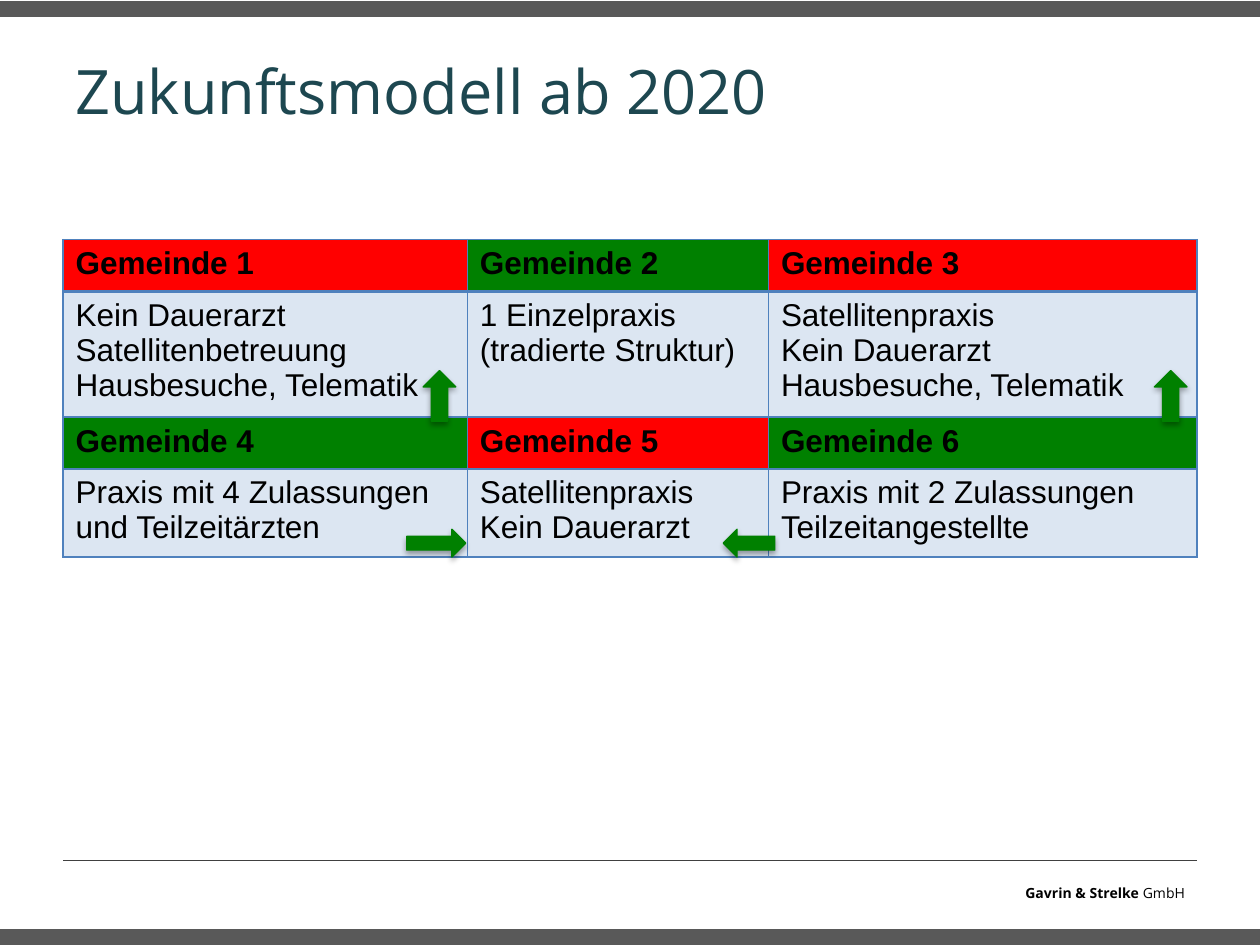
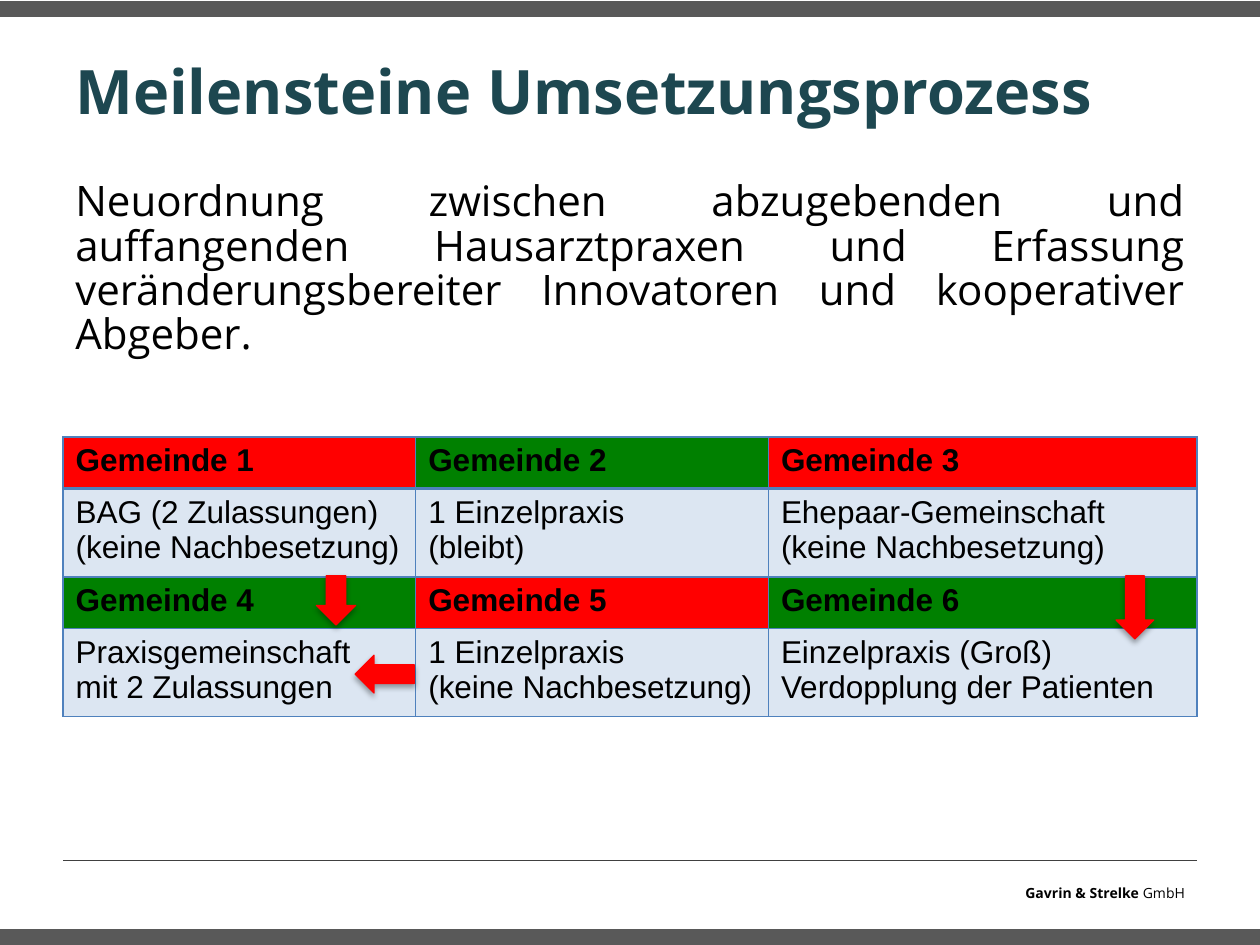
"""Builds two slides on reorganising general practices across six municipalities."""
from dataclasses import dataclass

from lxml.etree import SubElement
from pptx import Presentation
from pptx.dml.color import RGBColor as RGB
from pptx.enum.shapes import MSO_CONNECTOR as LINE, MSO_SHAPE as SHAPE
from pptx.enum.text import MSO_ANCHOR as ANCHOR, PP_ALIGN as ALIGN
from pptx.oxml import parse_xml
from pptx.oxml.ns import nsdecls, qn
from pptx.util import Cm, Pt


@dataclass(frozen=True)
class Theme:
    """Colours, fonts and type sizes of the deck."""
    band: RGB = RGB.from_string("595959")
    rule: RGB = RGB.from_string("404040")
    title: RGB = RGB.from_string("1D4750")
    text: RGB = RGB.from_string("000000")
    red: RGB = RGB.from_string("FF0000")
    green: RGB = RGB.from_string("008000")
    cell: RGB = RGB.from_string("DCE6F2")
    border: RGB = RGB.from_string("4F81BD")
    font: str = "Open Sans"
    table_font: str = "Arial"
    title_size: int = 35
    body_size: int = 24
    table_size: int = 18
    footer_size: int = 8


T = Theme()
WIDTH, HEIGHT = 25.4, 19.05
MARGIN = 1.27
CONTENT = WIDTH - 2 * MARGIN
HEADER_ROW = 1.04


def style(font, size, color=T.text, bold=False, name=T.font):
    """Set the look of a paragraph or run font."""
    font.name, font.size, font.bold = name, Pt(size), bold
    font.color.rgb = color


def add_shape(slide, kind, box, color):
    """Add a flat preset shape in one colour."""
    sp = slide.shapes.add_shape(kind, *map(Cm, box))
    sp.shadow.inherit = False
    sp.fill.solid()
    sp.fill.fore_color.rgb = color
    sp.line.color.rgb = color
    sp.line.width = Pt(0.75)
    return sp


def add_arrow(slide, kind, box, color):
    """Add a block arrow with a soft shadow below it."""
    sp = add_shape(slide, kind, box, color)
    effects = sp._element.spPr.find(qn("a:effectLst"))
    shadow = SubElement(effects, qn("a:outerShdw"), blurRad="40000",
                        dist="23000", dir="5400000", rotWithShape="0")
    black = SubElement(shadow, qn("a:srgbClr"), val="000000")
    SubElement(black, qn("a:alpha"), val="35000")


def add_text(slide, box, text, wrap=True):
    """Add a text box and return its frame and first paragraph."""
    tf = slide.shapes.add_textbox(*map(Cm, box)).text_frame
    tf.word_wrap = wrap
    p = tf.paragraphs[0]
    p.text = text
    return tf, p


def add_footer(slide):
    """Add the rule and the company name at the bottom."""
    y = Cm(17.35)
    rule = slide.shapes.add_connector(LINE.STRAIGHT, Cm(MARGIN), y,
                                      Cm(WIDTH - MARGIN), y)
    rule.line.color.rgb = T.rule
    rule.line.width = Pt(0.25)
    SubElement(rule._element.spPr, qn("a:effectLst"))
    _, p = add_text(slide, (20.42, 17.7, 3.91, 0.61), "", wrap=False)
    for text, bold in (("Gavrin & Strelke ", True), ("GmbH", False)):
        r = p.add_run()
        r.text = text
        style(r.font, T.footer_size, bold=bold)


def add_base(prs, title, bold=False):
    """Add a slide with bands, footer and title."""
    slide = prs.slides.add_slide(prs.slide_layouts[6])
    for top in (0.03, 18.75):
        add_shape(slide, SHAPE.RECTANGLE, (0, top, WIDTH, 0.3), T.band)
    add_footer(slide)
    tf, p = add_text(slide, (MARGIN, 0.76, CONTENT, 2.11), title)
    tf.vertical_anchor = ANCHOR.MIDDLE
    style(p.font, T.title_size, T.title, bold)
    return slide


def add_body(slide, text):
    """Add the justified body paragraph."""
    _, p = add_text(slide, (MARGIN, 3.53, CONTENT, 13.49), text)
    p.alignment = ALIGN.JUSTIFY
    p.line_spacing = 0.88
    p.space_before = Pt(2)
    style(p.font, T.body_size)


def set_borders(cell, top=1, bottom=1):
    """Draw the four borders of a cell, widths in points."""
    sides = (("L", 1), ("R", 1), ("T", top), ("B", bottom))
    for i, (side, width) in enumerate(sides):
        cell._tc.get_or_add_tcPr().insert(i, parse_xml(
            f'<a:ln{side} {nsdecls("a")} w="{Pt(width)}"><a:solidFill>'
            f'<a:srgbClr val="{T.border}"/></a:solidFill></a:ln{side}>'))


def fill_cell(cell, text, color, bold):
    """Write the lines of a cell and colour it."""
    cell.text = text
    for p in cell.text_frame.paragraphs:
        style(p.font, T.table_size, bold=bold, name=T.table_font)
    cell.fill.solid()
    cell.fill.fore_color.rgb = color


def add_municipalities(slide, top, widths, body_rows, details):
    """Add the table of municipalities: a coloured header row over each detail row."""
    heights = [h for body in body_rows for h in (HEADER_ROW, body)]
    frame = slide.shapes.add_table(len(heights), len(widths), Cm(MARGIN), Cm(top),
                                   Cm(sum(widths)), Cm(sum(heights)))
    table = frame.table
    table.first_row = table.horz_banding = False
    for column, width in zip(table.columns, widths):
        column.width = Cm(width)
    for row, height in zip(table.rows, heights):
        row.height = Cm(height)
    for i, detail in enumerate(details):
        block, col = divmod(i, len(widths))
        header, body = (table.cell(2 * block + k, col) for k in (0, 1))
        fill_cell(header, f"Gemeinde {i + 1}", T.green if i % 2 else T.red, True)
        fill_cell(body, detail, T.cell, False)
        divider = 1 if block else 2
        set_borders(header, bottom=divider)
        set_borders(body, top=divider)


def add_future_model(prs):
    """Build the slide on the model from 2020."""
    slide = add_base(prs, "Zukunftsmodell ab 2020")
    add_municipalities(slide, 4.83, (8.15, 6.07, 8.64), (2.39, 1.68), (
        "Kein Dauerarzt Satellitenbetreuung\nHausbesuche, Telematik",
        "1 Einzelpraxis\n(tradierte Struktur)",
        "Satellitenpraxis\nKein Dauerarzt\nHausbesuche, Telematik",
        "Praxis mit 4 Zulassungen und Teilzeitärzten",
        "Satellitenpraxis\nKein Dauerarzt",
        "Praxis mit 2 Zulassungen\nTeilzeitangestellte"))
    add_arrow(slide, SHAPE.RIGHT_ARROW, (8.2, 10.67, 1.19, 0.56), T.green)
    add_arrow(slide, SHAPE.LEFT_ARROW, (14.58, 10.67, 1.04, 0.56), T.green)
    for left in (23.27, 8.53):
        add_arrow(slide, SHAPE.UP_ARROW, (left, 7.47, 0.66, 1.02), T.green)


def add_milestones(prs):
    """Build the slide on the milestones of the process."""
    slide = add_base(prs, "Meilensteine Umsetzungsprozess", bold=True)
    add_body(slide, "Neuordnung zwischen abzugebenden und auffangenden "
                    "Hausarztpraxen und Erfassung veränderungsbereiter "
                    "Innovatoren und kooperativer Abgeber.")
    add_municipalities(slide, 8.81, (7.11, 7.11, 8.64), (1.68, 1.68), (
        "BAG (2 Zulassungen)\n(keine Nachbesetzung)",
        "1 Einzelpraxis\n(bleibt)",
        "Ehepaar-Gemeinschaft\n(keine Nachbesetzung)",
        "Praxisgemeinschaft\nmit 2 Zulassungen",
        "1 Einzelpraxis\n(keine Nachbesetzung)",
        "Einzelpraxis (Groß)\nVerdopplung der Patienten"))
    add_arrow(slide, SHAPE.LEFT_ARROW, (7.16, 13.21, 1.19, 0.76), T.red)
    add_arrow(slide, SHAPE.DOWN_ARROW, (6.38, 11.61, 0.79, 0.99), T.red)
    add_arrow(slide, SHAPE.DOWN_ARROW, (22.5, 11.61, 0.76, 1.27), T.red)


def main():
    """Build and save the deck."""
    prs = Presentation()
    prs.slide_width, prs.slide_height = Cm(WIDTH), Cm(HEIGHT)
    add_future_model(prs)
    add_milestones(prs)
    prs.save("out.pptx")


if __name__ == "__main__":
    main()
